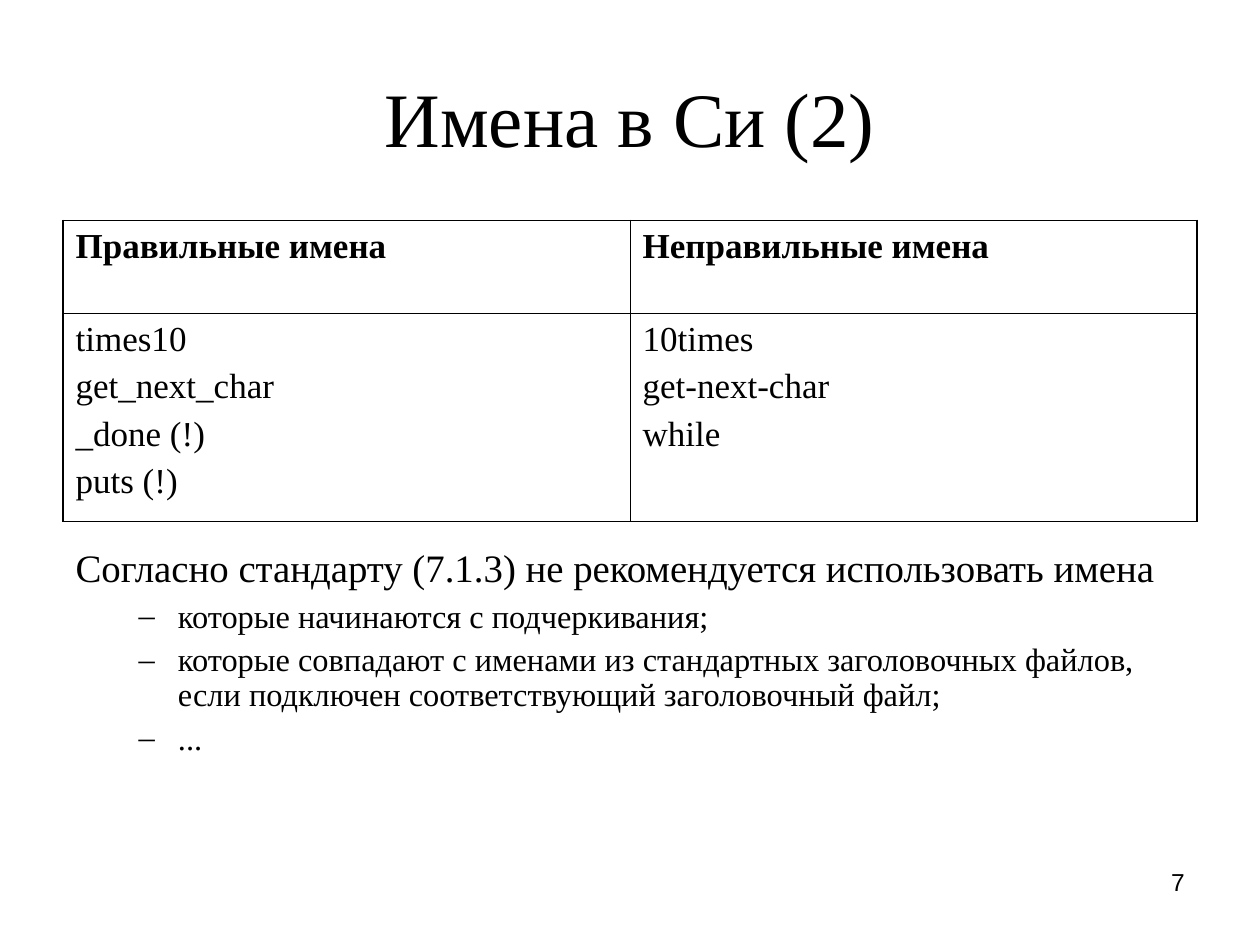
from lxml import etree
from pptx import Presentation
from pptx.dml import color
from pptx.enum import text
from pptx.oxml import ns
from pptx.util import Pt


def rgb(value):
    return color.RGBColor.from_string(value)


def style(p, size, font="Times New Roman", bold=False):
    for r in p.runs:
        r.font.size = Pt(size)
        r.font.name = font
        r.font.bold = bold
        r.font.color.rgb = rgb("000000")


prs = Presentation()
prs.slide_width, prs.slide_height = Pt(720), Pt(540)
s = prs.slides.add_slide(prs.slide_layouts[1])

title = s.shapes.title
title.left, title.top, title.width, title.height = Pt(36), Pt(21.6), Pt(648), Pt(90)
tf = title.text_frame
tf.text = "Имена в Си (2)"
tf.auto_size = text.MSO_AUTO_SIZE.NONE
tf.vertical_anchor = text.MSO_ANCHOR.MIDDLE
tf.paragraphs[0].alignment = text.PP_ALIGN.CENTER
style(tf.paragraphs[0], 44)

rows = [
    ["Правильные имена", "Неправильные имена"],
    ["times10\nget_next_char\n_done (!)\nputs (!)", "10times\nget-next-char\nwhile"],
]
table = s.shapes.add_table(2, 2, Pt(36), Pt(126), Pt(648), Pt(172)).table
table.first_row = table.horz_banding = False
table.rows[0].height, table.rows[1].height = Pt(53.2), Pt(118.8)
for i, row in enumerate(rows):
    for j, value in enumerate(row):
        cell = table.cell(i, j)
        cell.text_frame.text = value
        cell.fill.background()
        for p in cell.text_frame.paragraphs:
            p.space_before = Pt(5)
            style(p, 20, bold=i == 0)
        tcPr = cell._tc.get_or_add_tcPr()
        edges = {"lnL": j == 0, "lnR": j == 1, "lnT": i == 0, "lnB": i == 1}
        for k, (edge, outer) in enumerate(edges.items()):
            ln = etree.Element(ns.qn(f"a:{edge}"), w=str(Pt(1.08 if outer else 0.45)))
            fill = etree.SubElement(ln, ns.qn("a:solidFill"))
            etree.SubElement(fill, ns.qn("a:srgbClr"), val="000000")
            tcPr.insert(k, ln)

body = s.placeholders[1]
s.shapes._spTree.append(body._element)
body.left, body.top, body.width, body.height = Pt(36), Pt(310.3), Pt(648), Pt(172)
tf = body.text_frame
tf.text = "\n".join([
    "Согласно стандарту (7.1.3) не рекомендуется использовать имена",
    "которые начинаются с подчеркивания;",
    "которые совпадают с именами из стандартных заголовочных файлов, "
    "если подключен соответствующий заголовочный файл;",
    "...",
])
tf.auto_size = text.MSO_AUTO_SIZE.NONE
for i, p in enumerate(tf.paragraphs):
    p.level = 1 if i else 0
    p.line_spacing = 0.9
    p.space_before = Pt(5 if i else 6)
    style(p, 18.5 if i else 22.2)
    pPr = p._p.get_or_add_pPr()
    pPr.set("marL", str(Pt(58.5 if i else 0)))
    pPr.set("indent", str(Pt(-22.5 if i else 0)))
    if i:
        clr = etree.SubElement(pPr, ns.qn("a:buClr"))
        etree.SubElement(clr, ns.qn("a:srgbClr"), val="000000")
        etree.SubElement(pPr, ns.qn("a:buFont"), typeface="Times New Roman")
        etree.SubElement(pPr, ns.qn("a:buChar"), char="–")
    else:
        etree.SubElement(pPr, ns.qn("a:buNone"))

number = s.shapes.add_textbox(Pt(516), Pt(492), Pt(168), Pt(37.5))
tf = number.text_frame
tf.word_wrap = True
tf.text = "7"
tf.paragraphs[0].alignment = text.PP_ALIGN.RIGHT
style(tf.paragraphs[0], 14, "Arial")

prs.save("out.pptx")
